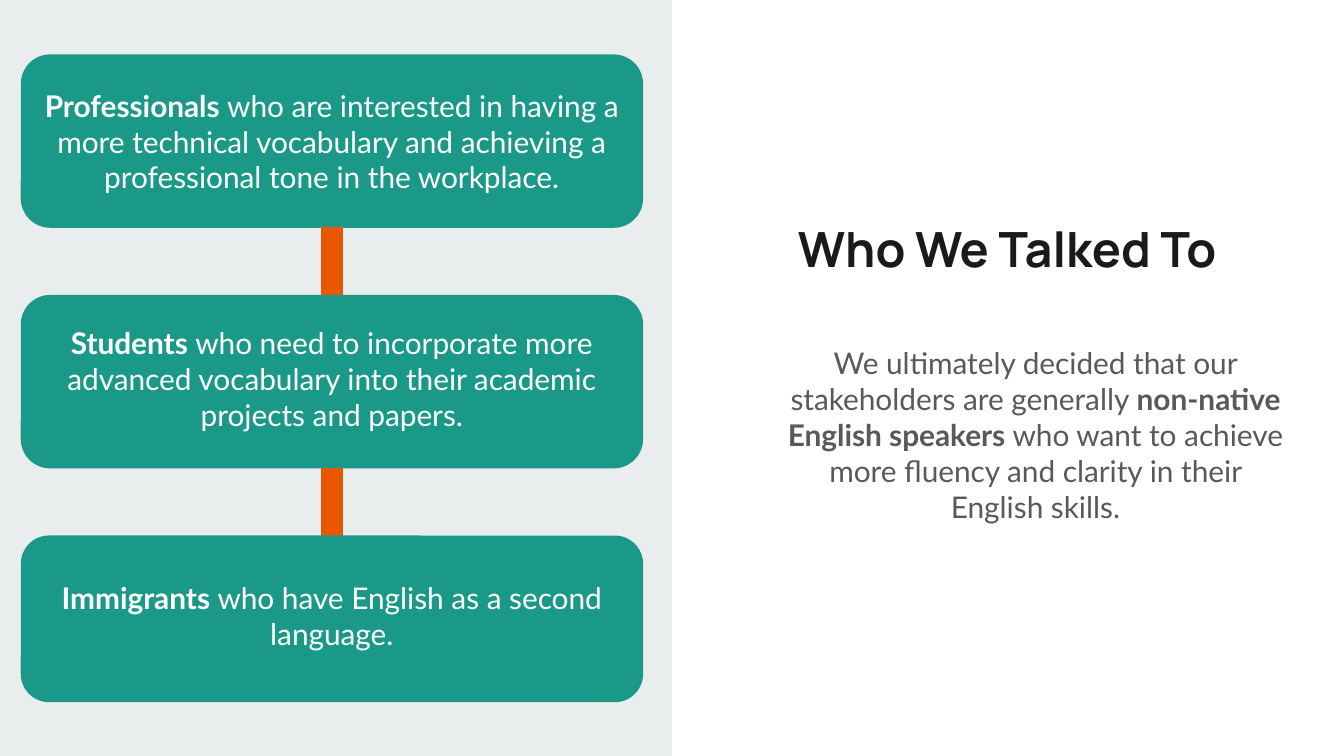
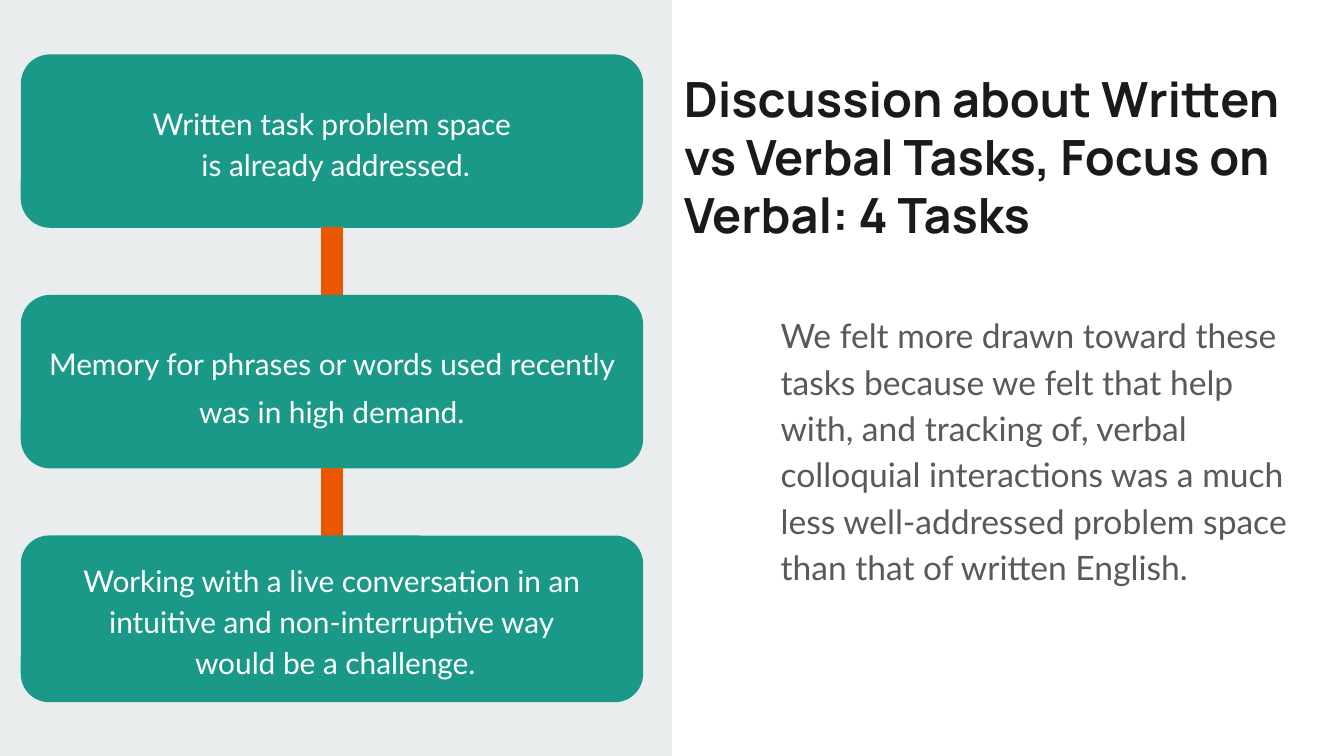
import copy

import pptx
import pptx.dml.color
import pptx.enum.shapes
import pptx.enum.text
import pptx.oxml
import pptx.util

# Grid: 100 columns across the slide, square cells, 56.25 rows
WIDTH = pptx.util.Inches(10)
COLS, ROWS = 100, 56.25

PANEL, TEAL, ORANGE = "E9EDEE", "1A9988", "EB5600"
INK, GREY, WHITE = "1A1A1A", "595959", "FFFFFF"
HEAD_FONT, BODY_FONT = "Manrope", "Lato"

CARD_X, CARD_Y, CARD_W, CARD_PITCH = 1.6, 4.1, 46.2, 17.9
CARD_HEIGHTS = (12.8, 12.8, 12.3)
INSET = 1
BODY_BOX = (57.1, 22, 39.9, 20)

SHAPE = pptx.enum.shapes.MSO_SHAPE
ALIGN = pptx.enum.text.PP_ALIGN
ANCHOR = pptx.enum.text.MSO_ANCHOR


def grid(*cells):
    return [round(WIDTH * c / COLS) for c in cells]


def color(hex_code):
    return pptx.dml.color.RGBColor.from_string(hex_code)


def write(s, text, size=16, font=BODY_FONT, ink=WHITE, bold=False, align=ALIGN.CENTER,
          anchor=ANCHOR.TOP, spacing=None, after=None, top=INSET, bottom=INSET):
    """Fill a shape with one paragraph; **marks** toggle bold, newlines break lines."""
    tf = s.text_frame
    tf.word_wrap = True
    tf.vertical_anchor = anchor
    tf.margin_left, tf.margin_top, tf.margin_right, tf.margin_bottom = grid(
        INSET, top, INSET, bottom)
    p = tf.paragraphs[0]
    p.alignment = align
    if spacing:
        p.line_spacing = spacing
    if after:
        p.space_after = pptx.util.Pt(after)
    for i, part in enumerate(text.split("**")):
        for j, line in enumerate(part.split("\n")):
            if j:
                p.add_line_break()
                p._p[-1].append(copy.deepcopy(r._r.rPr))
            if line:
                r = p.add_run()
                r.text = line
                r.font.name, r.font.size = font, pptx.util.Pt(size)
                r.font.bold = bold or i % 2 == 1
                r.font.color.rgb = color(ink)


def add_text(s, box, text, **fmt):
    write(s.shapes.add_textbox(*grid(*box)), text, **fmt)


def add_block(s, kind, box, fill, line=None):
    sp = s.shapes.add_shape(kind, *grid(*box))
    sp.shadow.inherit = False
    sp.fill.solid()
    sp.fill.fore_color.rgb = color(fill)
    if line:
        sp.line.color.rgb = color(line)
        sp.line.width = pptx.util.Pt(0.75)
    else:
        sp.line.fill.background()
    return sp


def add_link(s, x, top, bottom):
    c = s.shapes.add_connector(pptx.enum.shapes.MSO_CONNECTOR.STRAIGHT,
                               *grid(x, top, x, bottom))
    c.line.color.rgb = color(ORANGE)
    c.line.width = pptx.util.Pt(12)
    c._element.spPr.append(pptx.oxml.parse_xml(
        '<a:effectLst xmlns:a="http://schemas.openxmlformats.org/drawingml/2006/main"/>'))


def add_cards(s, cards):
    """Stack the cards and join each to the next; a card is (text, format)."""
    for i, ((text, fmt), height) in enumerate(zip(cards, CARD_HEIGHTS)):
        top = CARD_Y + i * CARD_PITCH
        sp = add_block(s, SHAPE.ROUNDED_RECTANGLE, (CARD_X, top, CARD_W, height), TEAL, TEAL)
        write(sp, text, anchor=ANCHOR.MIDDLE, **fmt)
        if i < len(cards) - 1:
            add_link(s, CARD_X + CARD_W / 2, top + height, top + CARD_PITCH)


def add_slide(prs, title, title_y, title_align, body, body_fmt, cards):
    s = prs.slides.add_slide(prs.slide_layouts[6])
    s.background.fill.solid()
    s.background.fill.fore_color.rgb = color(WHITE)
    add_block(s, SHAPE.RECTANGLE, (0, 0, COLS / 2, ROWS), PANEL)
    add_text(s, (49.9, title_y, 50.1, 5.8), title, size=26, font=HEAD_FONT, ink=INK,
             bold=True, align=title_align)
    add_text(s, BODY_BOX, body, ink=GREY, **body_fmt)
    add_cards(s, cards)


def main():
    prs = pptx.Presentation()
    prs.slide_width, prs.slide_height = grid(COLS, ROWS)

    # Stakeholders
    raised = {"bottom": 1.5}
    add_slide(
        prs, "Who We Talked To", 15.3, ALIGN.CENTER,
        "We ultimately decided that our stakeholders are generally **non-native English "
        "speakers** who want to achieve more fluency and clarity in their English skills.",
        {"top": 3.67},
        [("**Professionals **who are interested in having a more technical vocabulary and "
          "achieving a professional tone in the workplace.", {}),
         ("**Students **who need to incorporate more advanced vocabulary into their "
          "academic projects and papers.", raised),
         ("**Immigrants **who have English as a second language.", raised)])

    # Choice of tasks
    add_slide(
        prs, "Discussion about Written vs Verbal Tasks, Focus on Verbal: 4 Tasks", 4.1,
        ALIGN.LEFT,
        "We felt more drawn toward these tasks because we felt that help with, and tracking "
        "of, verbal colloquial interactions was a much less well-addressed problem space "
        "than that of written English.",
        {"size": 18, "align": ALIGN.LEFT, "spacing": 1.15, "after": 16},
        [("Written task problem space\n is already addressed.", {"spacing": 1.15}),
         ("Memory for phrases or words used recently was in high demand.",
          {"spacing": 1.35}),
         ("Working with a live conversation in an intuitive and non-interruptive way\n"
          " would be a challenge.", {"spacing": 1.15})])

    prs.save("out.pptx")


if __name__ == "__main__":
    main()
